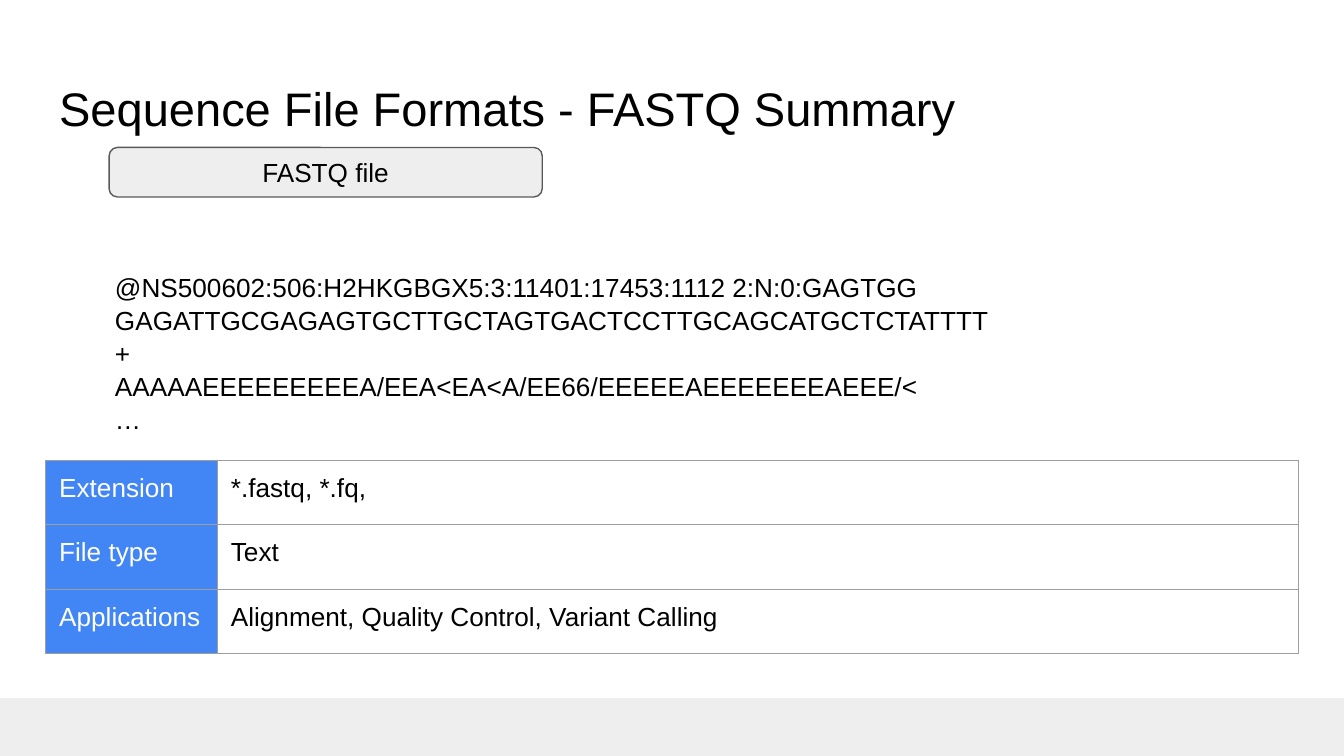
"""Build the FASTQ summary slide."""
from lxml import etree
from pptx import Presentation
from pptx.dml.color import RGBColor
from pptx.enum import shapes, text
from pptx.oxml import ns
from pptx.util import Pt

BLACK = RGBColor(0x00, 0x00, 0x00)
WHITE = RGBColor(0xFF, 0xFF, 0xFF)
PALE = RGBColor(0xEE, 0xEE, 0xEE)
DARK = RGBColor(0x59, 0x59, 0x59)
GREY = RGBColor(0x9E, 0x9E, 0x9E)
BLUE = RGBColor(0x42, 0x85, 0xF4)

WIDTH, HEIGHT = 720, 405
LEFT = 24.5
INSET = 7.2
READ = [
    "@NS500602:506:H2HKGBGX5:3:11401:17453:1112 2:N:0:GAGTGG",
    "GAGATTGCGAGAGTGCTTGCTAGTGACTCCTTGCAGCATGCTCTATTTT",
    "+",
    "AAAAAEEEEEEEEEA/EEA<EA<A/EE66/EEEEEAEEEEEEEAEEE/<",
    "…",
]
FACTS = [
    ("Extension", "*.fastq, *.fq,"),
    ("File type", "Text"),
    ("Applications", "Alignment, Quality Control, Variant Calling"),
]


class Deck:
    def __init__(self, prs):
        self.font = {"name": "Arial", "size": Pt(14)}
        self.s = prs.slides.add_slide(prs.slide_layouts[5])

    def add_lines(self, tf, lines, color=BLACK, align=text.PP_ALIGN.LEFT, spacing=1.0, **font):
        for i, line in enumerate(lines):
            p = tf.paragraphs[0] if i == 0 else tf.add_paragraph()
            p.alignment, p.line_spacing = align, spacing
            r = p.add_run()
            r.text = line
            for key, value in {**self.font, **font}.items():
                setattr(r.font, key, value)
            r.font.color.rgb = color

    def frame(self, tf, anchor, auto_size=text.MSO_AUTO_SIZE.NONE):
        style = {"word_wrap": True, "vertical_anchor": anchor, "auto_size": auto_size}
        for side in ("left", "right", "top", "bottom"):
            style["margin_" + side] = Pt(INSET)
        for key, value in style.items():
            setattr(tf, key, value)
        return tf

    def title(self, line, x, y, w, h):
        sp = self.s.shapes.title
        for key, value in {"left": x, "top": y, "width": w, "height": h}.items():
            setattr(sp, key, Pt(value))
        tf = self.frame(sp.text_frame, text.MSO_ANCHOR.MIDDLE)
        self.add_lines(tf, [line], size=Pt(25.2))

    def textbox(self, lines, x, y, w, h):
        sp = self.s.shapes.add_textbox(Pt(x), Pt(y), Pt(w), Pt(h))
        fit = text.MSO_AUTO_SIZE.SHAPE_TO_FIT_TEXT
        tf = self.frame(sp.text_frame, text.MSO_ANCHOR.TOP, fit)
        self.add_lines(tf, lines, spacing=1.05)

    def box(self, kind, x, y, w, h, line=None, label=None):
        sp = self.s.shapes.add_shape(kind, Pt(x), Pt(y), Pt(w), Pt(h))
        sp.shadow.inherit = False
        sp.fill.solid()
        sp.fill.fore_color.rgb = PALE
        if line is None:
            sp.line.fill.background()
        else:
            sp.line.color.rgb, sp.line.width = line, Pt(0.75)
        if label:
            tf = self.frame(sp.text_frame, text.MSO_ANCHOR.MIDDLE)
            self.add_lines(tf, [label], align=text.PP_ALIGN.CENTER)

    def border(self, cell):
        props = cell._tc.get_or_add_tcPr()
        for i, side in enumerate(("a:lnL", "a:lnR", "a:lnT", "a:lnB")):
            ln = etree.Element(ns.qn(side), w=str(Pt(0.75)))
            fill = etree.SubElement(ln, ns.qn("a:solidFill"))
            etree.SubElement(fill, ns.qn("a:srgbClr"), val=str(GREY))
            props.insert(i, ln)

    def table(self, rows, x, y, widths, row_height):
        size = Pt(sum(widths)), Pt(row_height * len(rows))
        tbl = self.s.shapes.add_table(len(rows), len(widths), Pt(x), Pt(y), *size).table
        tbl.first_row = tbl.horz_banding = False
        for col, width in zip(tbl.columns, widths):
            col.width = Pt(width)
        for i, row in enumerate(rows):
            tbl.rows[i].height = Pt(row_height)
            for j, value in enumerate(row):
                cell = tbl.cell(i, j)
                for side in ("left", "right", "top", "bottom"):
                    setattr(cell, "margin_" + side, Pt(INSET))
                if j == 0:
                    cell.fill.solid()
                    cell.fill.fore_color.rgb = BLUE
                else:
                    cell.fill.background()
                self.border(cell)
                self.add_lines(cell.text_frame, [value], WHITE if j == 0 else BLACK)


def main():
    prs = Presentation()
    prs.slide_width, prs.slide_height = Pt(WIDTH), Pt(HEIGHT)
    deck = Deck(prs)
    kinds = shapes.MSO_SHAPE
    deck.box(kinds.RECTANGLE, 0, 374, WIDTH, HEIGHT - 374)
    deck.title("Sequence File Formats - FASTQ Summary", LEFT, 35, 671, 45)
    deck.textbox(READ, 54.5, 137.5, 671, 99.5)
    deck.box(kinds.ROUNDED_RECTANGLE, 58.5, 79, 232, 26.5, DARK, "FASTQ file")
    deck.table(FACTS, LEFT, 246.5, (92, 579), 34.6)
    prs.save("out.pptx")


if __name__ == "__main__":
    main()
